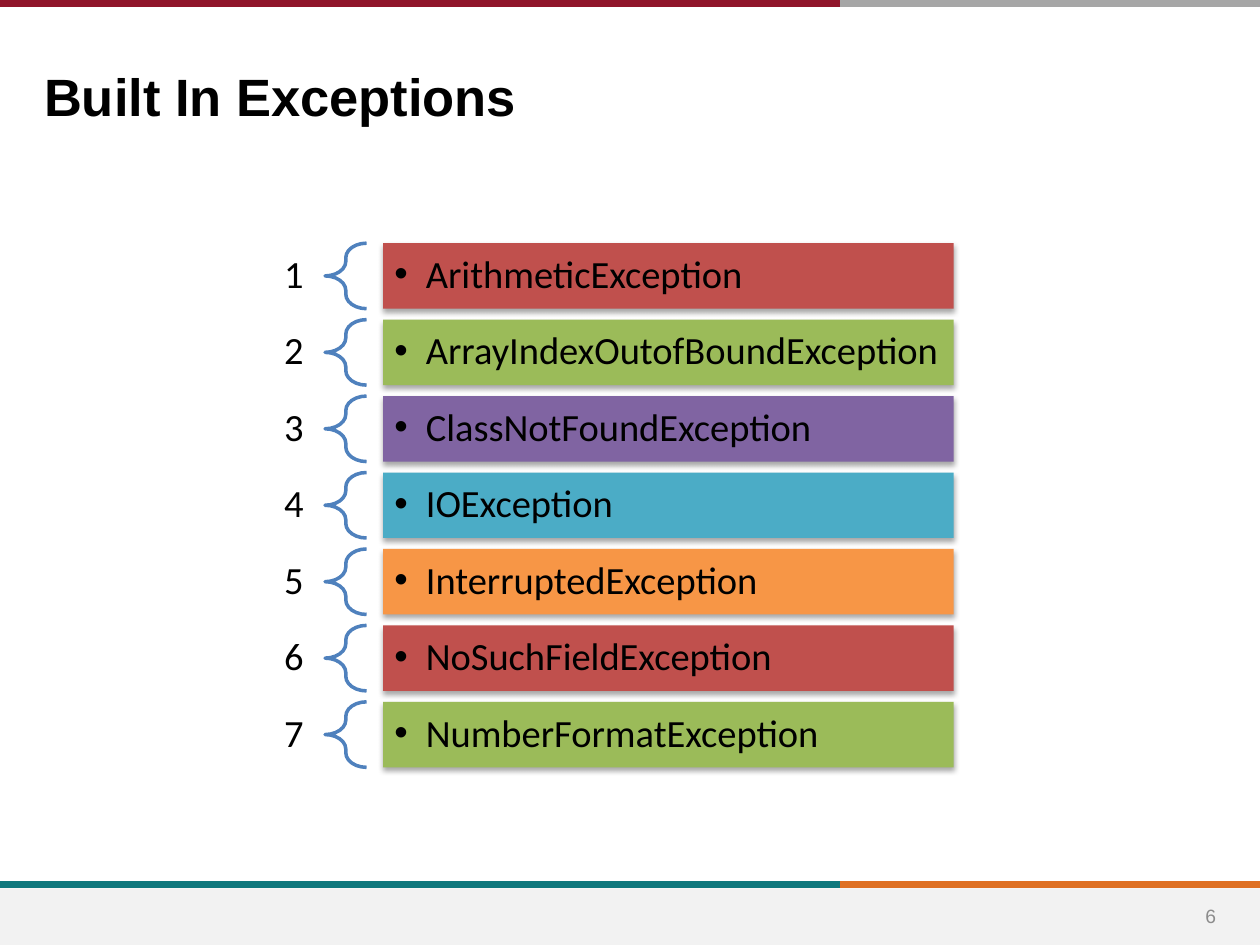
"""Build the slide listing Java's built-in exceptions as numbered, braced bars."""
from dataclasses import dataclass

from lxml import etree
from pptx import Presentation
from pptx.dml.color import RGBColor
from pptx.enum.shapes import MSO_CONNECTOR, MSO_SHAPE
from pptx.enum.text import MSO_ANCHOR, MSO_AUTO_SIZE, PP_ALIGN
from pptx.oxml.ns import qn
from pptx.util import Inches, Pt

RECTANGLE, LEFT_BRACE = MSO_SHAPE.RECTANGLE, MSO_SHAPE.LEFT_BRACE
STRAIGHT = MSO_CONNECTOR.STRAIGHT
LEFT, CENTER, RIGHT = PP_ALIGN.LEFT, PP_ALIGN.CENTER, PP_ALIGN.RIGHT
TOP, MIDDLE = MSO_ANCHOR.TOP, MSO_ANCHOR.MIDDLE
NO_AUTOFIT = MSO_AUTO_SIZE.NONE
TITLE_ONLY = 5

EXCEPTIONS = [
    "ArithmeticException",
    "ArrayIndexOutofBoundException",
    "ClassNotFoundException",
    "IOException",
    "InterruptedException",
    "NoSuchFieldException",
    "NumberFormatException",
]
SLIDE_WIDTH, SLIDE_HEIGHT, RULE_SPLIT = 10, 7.5, 6.67
FIRST_ROW_TOP, LAST_ROW_TOP, ROW_HEIGHT = 1.93, 5.57, 0.52
ROW_PITCH = (LAST_ROW_TOP - FIRST_ROW_TOP) / (len(EXCEPTIONS) - 1)


@dataclass(frozen=True)
class Theme:
    heading_font: str = "Arial"
    list_font: str = "Calibri"
    title_size: float = 30
    list_size: float = 22
    page_number_size: float = 11
    rule_width: float = 4
    brace_width: float = 2
    text: str = "000000"
    muted: str = "8C8C8C"
    footer: str = "F2F2F2"
    brace: str = "4F81BD"
    top_rules: tuple = ("90152A", "A6A6A6")
    bottom_rules: tuple = ("0F787D", "DF7023")
    bars: tuple = ("C0504D", "9BBB59", "8064A2", "4BACC6", "F79646")


class SlideBuilder:
    """Hold the theme and current slide, and add each kind of element."""

    def __init__(self, slide, theme):
        self.slide = slide
        self.theme = theme

    def set_text(self, shape, text, font, size, color, align=LEFT, anchor=MIDDLE,
                 insets=(0.1, 0.05), bold=False):
        frame = shape.text_frame
        frame.text = text
        frame.word_wrap = True
        frame.auto_size = NO_AUTOFIT
        frame.vertical_anchor = anchor
        frame.margin_left = frame.margin_right = Inches(insets[0])
        frame.margin_top = frame.margin_bottom = Inches(insets[1])
        para = frame.paragraphs[0]
        para.alignment = align
        for span in para.runs:
            span.font.name = font
            span.font.size = Pt(size)
            span.font.bold = bold
            span.font.color.rgb = RGBColor.from_string(color)
        return para

    def title(self, text, left, top, width, height):
        box = self.slide.shapes.title
        box.left, box.top = Inches(left), Inches(top)
        box.width, box.height = Inches(width), Inches(height)
        self.set_text(box, text, self.theme.heading_font, self.theme.title_size,
                      self.theme.text, anchor=TOP, bold=True)

    def text_box(self, left, top, width, height, text, *style, **layout):
        box = self.slide.shapes.add_textbox(
            Inches(left), Inches(top), Inches(width), Inches(height))
        return self.set_text(box, text, *style, **layout)

    def panel(self, left, top, width, height, fill):
        panel = self.slide.shapes.add_shape(
            RECTANGLE, Inches(left), Inches(top), Inches(width), Inches(height))
        panel.shadow.inherit = False
        panel.fill.solid()
        panel.fill.fore_color.rgb = RGBColor.from_string(fill)
        panel.line.fill.background()
        return panel

    def split_rule(self, y, colors):
        edges = (0, RULE_SPLIT, SLIDE_WIDTH)
        for start, end, color in zip(edges, edges[1:], colors):
            rule = self.slide.shapes.add_connector(
                STRAIGHT, Inches(start), Inches(y), Inches(end), Inches(y))
            rule.line.color.rgb = RGBColor.from_string(color)
            rule.line.width = Pt(self.theme.rule_width)
            etree.SubElement(rule._element.spPr, qn("a:effectLst"))

    def brace(self, left, top, width, height):
        brace = self.slide.shapes.add_shape(
            LEFT_BRACE, Inches(left), Inches(top), Inches(width), Inches(height))
        brace.shadow.inherit = False
        brace.adjustments[0], brace.adjustments[1] = 0.35, 0.5
        brace.fill.background()
        brace.line.color.rgb = RGBColor.from_string(self.theme.brace)
        brace.line.width = Pt(self.theme.brace_width)

    def drop_shadow(self, shape):
        effects = shape._element.spPr.find(qn("a:effectLst"))
        shadow = etree.SubElement(
            effects, qn("a:outerShdw"), blurRad=str(Pt(3.1)), dist=str(Pt(1.8)),
            dir="5400000", rotWithShape="0")
        color = etree.SubElement(shadow, qn("a:srgbClr"), val=self.theme.text)
        etree.SubElement(color, qn("a:alpha"), val="35000")

    def bullet(self, para, indent):
        properties = para._p.get_or_add_pPr()
        properties.set("marL", str(Inches(indent)))
        properties.set("indent", str(-Inches(indent)))
        etree.SubElement(properties, qn("a:buFont"), typeface=self.theme.heading_font)
        etree.SubElement(properties, qn("a:buChar"), char="•")

    def exception_row(self, number, name, top, fill):
        style = (self.theme.list_font, self.theme.list_size, self.theme.text)
        label = self.text_box(0.91, top + 0.02, 1.67, 0.48, str(number), *style,
                              align=RIGHT, insets=(0.17, 0.06))
        self.brace(2.58, top, 0.33, ROW_HEIGHT)
        bar = self.panel(3.04, top, 4.53, ROW_HEIGHT, fill)
        self.drop_shadow(bar)
        entry = self.set_text(bar, name, *style, insets=(0.09, 0.09))
        label.line_spacing = entry.line_spacing = 0.9
        entry.level = 1
        self.bullet(entry, 0.25)

    def page_frame(self, page_number):
        self.split_rule(7.02, self.theme.bottom_rules)
        self.panel(0, 7.05, SLIDE_WIDTH, 0.45, self.theme.footer)
        self.split_rule(0.03, self.theme.top_rules)
        self.text_box(9.35, 7.07, 0.52, 0.4, str(page_number),
                      self.theme.heading_font, self.theme.page_number_size,
                      self.theme.muted, align=CENTER)


def main():
    deck = Presentation()
    deck.slide_width, deck.slide_height = Inches(SLIDE_WIDTH), Inches(SLIDE_HEIGHT)
    theme = Theme()
    page = SlideBuilder(deck.slides.add_slide(deck.slide_layouts[TITLE_ONLY]), theme)
    page.page_frame(6)
    page.title("Built In Exceptions", 0.25, 0.46, 7.99, 0.59)
    for index, name in enumerate(EXCEPTIONS):
        page.exception_row(index + 1, name, FIRST_ROW_TOP + index * ROW_PITCH,
                           theme.bars[index % len(theme.bars)])
    deck.save("out.pptx")


if __name__ == "__main__":
    main()
